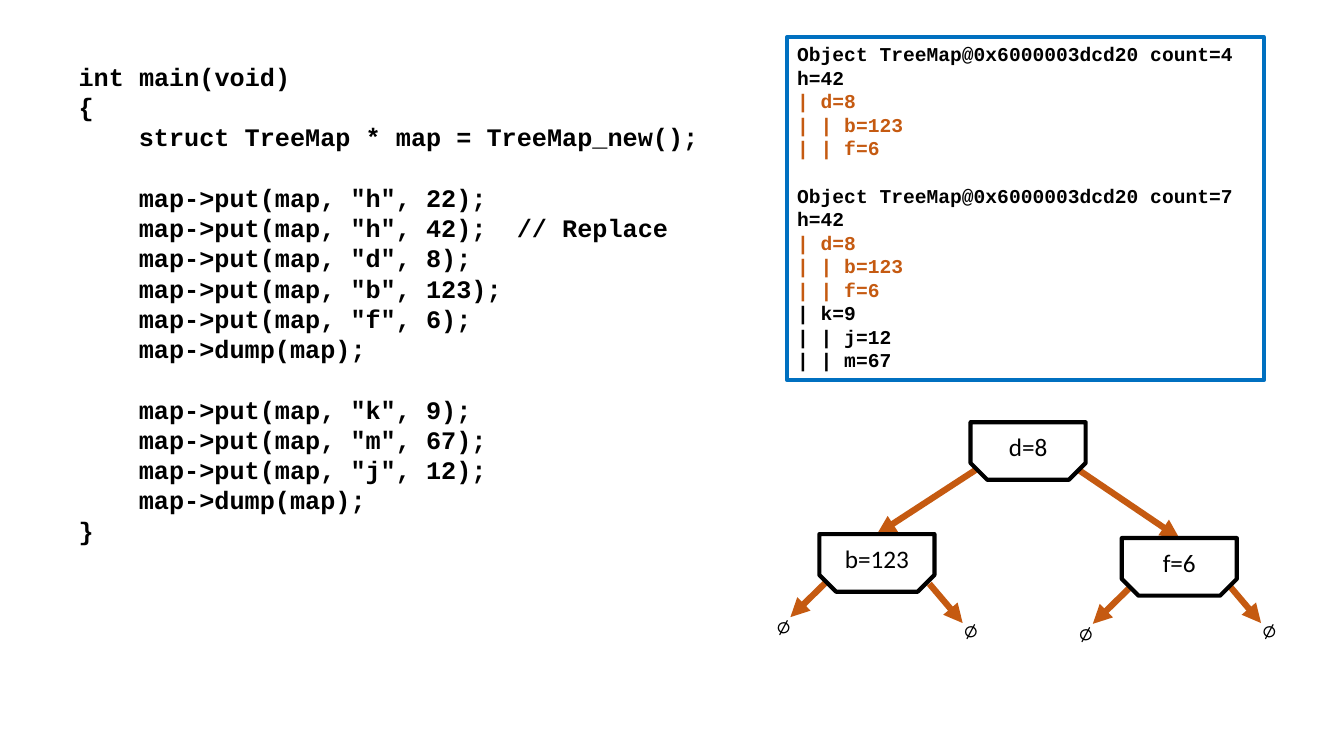
from dataclasses import dataclass
from lxml.etree import SubElement
from pptx import Presentation
from pptx.dml.color import RGBColor
from pptx.enum.shapes import MSO_CONNECTOR, MSO_SHAPE
from pptx.enum.text import MSO_ANCHOR, PP_ALIGN
from pptx.oxml.ns import qn
from pptx.util import Cm, Pt


@dataclass(frozen=True)
class Theme:
    ink: RGBColor = RGBColor(0, 0, 0)
    paper: RGBColor = RGBColor(255, 255, 255)
    frame: RGBColor = RGBColor(0x00, 0x70, 0xC0)
    subtree: RGBColor = RGBColor(0xC5, 0x5A, 0x11)
    mono: str = "Courier New"
    sans: str = "Calibri"
    code_size: int = 18
    output_size: int = 14
    node_size: int = 18
    border: Pt = Pt(3)
    arrow: Pt = Pt(4.5)


theme = Theme()


def write(p, text, size, font, color, bold=False):
    p.text = text
    for r in p.runs:
        r.font.size = Pt(size)
        r.font.name = font
        r.font.bold = bold
        r.font.color.rgb = color


def write_blocks(tf, blocks, size, indent):
    tf.word_wrap = True
    pitch = Pt(size * 1.2)
    p = tf.paragraphs[0]
    for i, block in enumerate(blocks):
        for j, (text, color) in enumerate(block):
            if i or j:
                p = tf.add_paragraph()
            code = text.lstrip()
            write(p, code, size, theme.mono, color, True)
            p.alignment = PP_ALIGN.LEFT
            p.line_spacing = pitch
            p.space_before = pitch if i and not j else Pt(0)
            if code != text:
                p._p.get_or_add_pPr().set("marL", str(indent))


prs = Presentation()
prs.slide_width, prs.slide_height = Cm(33.87), Cm(19.05)
s = prs.slides.add_slide(prs.slide_layouts[6])

code = [
    ["int main(void)", "{", " struct TreeMap * map = TreeMap_new();"],
    [
        ' map->put(map, "h", 22);',
        ' map->put(map, "h", 42);  // Replace',
        ' map->put(map, "d", 8);',
        ' map->put(map, "b", 123);',
        ' map->put(map, "f", 6);',
        " map->dump(map);",
    ],
    [
        ' map->put(map, "k", 9);',
        ' map->put(map, "m", 67);',
        ' map->put(map, "j", 12);',
        " map->dump(map);",
        "}",
    ],
]
sp = s.shapes.add_textbox(Cm(1.73), Cm(1.42), Cm(16.94), Cm(12.57))
blocks = [[(line, theme.ink) for line in block] for block in code]
write_blocks(sp.text_frame, blocks, theme.code_size, Cm(1.52))

left_tree = [(line, theme.subtree) for line in ("| d=8", "| | b=123", "| | f=6")]
right_tree = [(line, theme.ink) for line in ("| k=9", "| | j=12", "| | m=67")]
dumps = []
for count, subtrees in ((4, left_tree), (7, left_tree + right_tree)):
    title = f"Object TreeMap@0x6000003dcd20 count={count}"
    dumps.append([(title, theme.ink), ("h=42", theme.ink)] + subtrees)
sp = s.shapes.add_shape(MSO_SHAPE.RECTANGLE, Cm(19.84), Cm(0.94), Cm(12.01), Cm(8.64))
sp.shadow.inherit = False
sp.fill.background()
sp.line.color.rgb = theme.frame
sp.line.width = theme.border
sp.text_frame.vertical_anchor = MSO_ANCHOR.TOP
write_blocks(sp.text_frame, dumps, theme.output_size, 0)

arrows = [
    (24.59, 11.84, 22.1, 13.46),
    (27.18, 11.84, 29.72, 13.56),
]
empty_links = [
    (20.83, 14.66, -0.91, 0.89, -1.52, 0.51),
    (28.45, 14.83, -0.91, 0.89, -1.52, 0.51),
    (23.42, 14.71, 0.84, 0.99, 0.61, 0.56),
    (30.94, 14.71, 0.84, 0.99, 0.61, 0.56),
]
for x, y, dx, dy, label_dx, label_dy in empty_links:
    arrows.append((x, y, x + dx, y + dy))
    sp = s.shapes.add_textbox(Cm(x + label_dx), Cm(y + label_dy), Cm(0.84), Cm(1.09))
    tf = sp.text_frame
    tf.word_wrap = True
    tf.vertical_anchor = MSO_ANCHOR.MIDDLE
    write(tf.paragraphs[0], "∅", theme.node_size, theme.mono, theme.ink)

for ends in arrows:
    cxn = s.shapes.add_connector(MSO_CONNECTOR.STRAIGHT, *[Cm(v) for v in ends])
    cxn.line.color.rgb = theme.subtree
    cxn.line.width = theme.arrow
    SubElement(cxn.line._get_or_add_ln(), qn("a:tailEnd"), type="triangle")
    SubElement(cxn._element.spPr, qn("a:effectLst"))

nodes = [("b=123", 20.65, 13.46), ("d=8", 24.46, 10.64), ("f=6", 28.27, 13.56)]
for label, x, y in nodes:
    sp = s.shapes.add_shape(MSO_SHAPE.SNIP_2_SAME_RECTANGLE, Cm(x), Cm(y), Cm(2.9), Cm(1.45))
    sp.adjustments[0] = 0
    sp.adjustments[1] = 0.29
    sp.shadow.inherit = False
    sp.fill.solid()
    sp.fill.fore_color.rgb = theme.paper
    sp.line.color.rgb = theme.ink
    sp.line.width = theme.border
    tf = sp.text_frame
    tf.word_wrap = True
    tf.vertical_anchor = MSO_ANCHOR.MIDDLE
    write(tf.paragraphs[0], label, theme.node_size, theme.sans, theme.ink)
    tf.paragraphs[0].alignment = PP_ALIGN.CENTER

prs.save("out.pptx")
